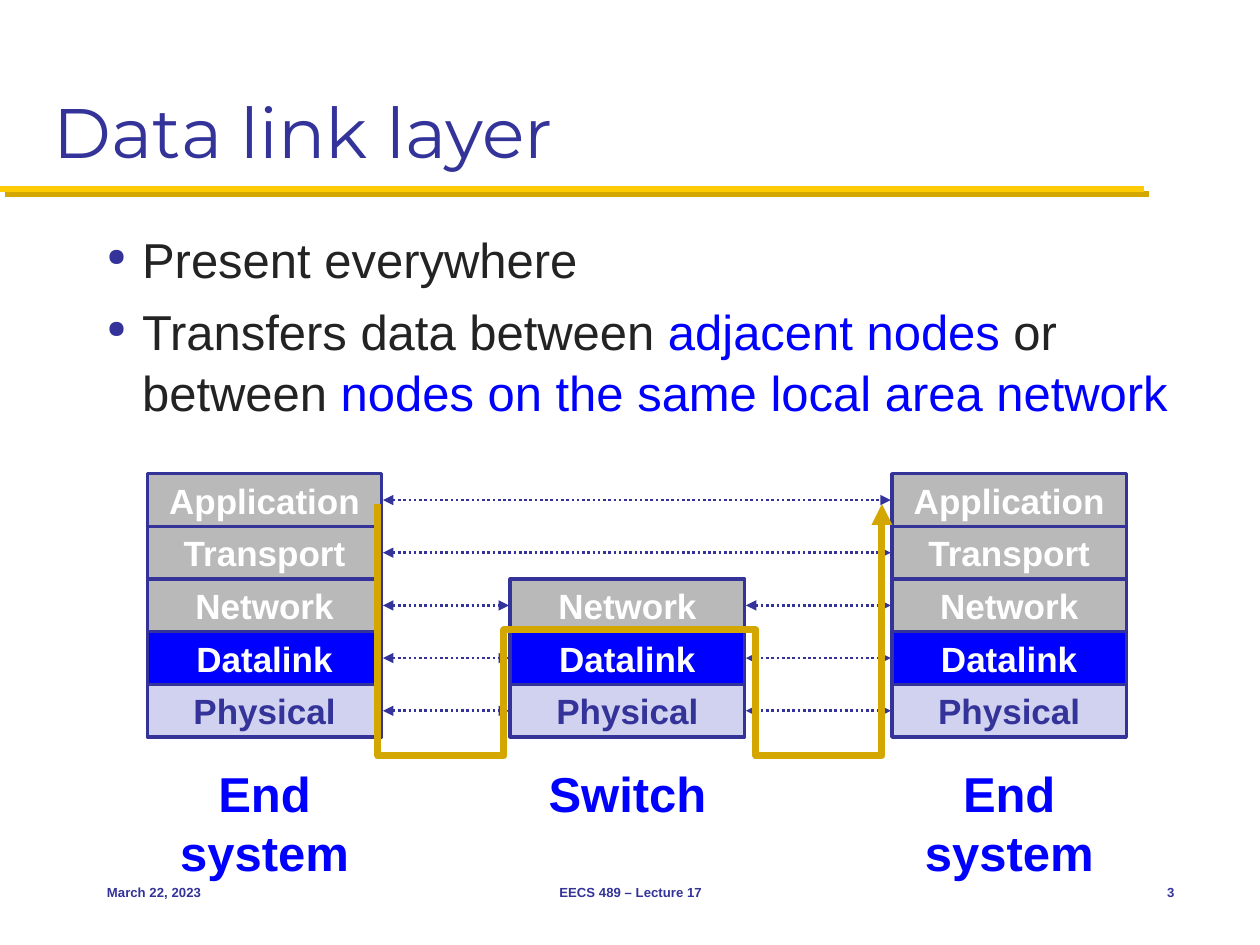
from lxml.etree import SubElement
from pptx import Presentation
from pptx.dml.color import RGBColor
from pptx.enum.dml import MSO_LINE
from pptx.enum.shapes import MSO_CONNECTOR, MSO_SHAPE
from pptx.enum.text import MSO_ANCHOR as Anchor, PP_ALIGN as Align
from pptx.oxml.ns import qn
from pptx.util import Inches, Pt

NAVY = RGBColor(0x33, 0x33, 0x99)
BLUE = RGBColor(0x00, 0x00, 0xFF)
INK = RGBColor(0x23, 0x23, 0x23)
WHITE = RGBColor(0xFF, 0xFF, 0xFF)
GREY = RGBColor(0xB9, 0xB9, 0xB9)
LILAC = RGBColor(0xD1, 0xD1, 0xF0)
GOLD = RGBColor(0xFF, 0xCB, 0x05)
DARK_GOLD = RGBColor(0xD3, 0xA6, 0x00)

LAYERS = [("Application", GREY, WHITE), ("Transport", GREY, WHITE),
          ("Network", GREY, WHITE), ("Datalink", BLUE, WHITE),
          ("Physical", LILAC, NAVY)]
STACK_WIDTH = 1.86
LAYER_HEIGHT = 0.418


def style(span, size, color, bold=False, font="Arial"):
    """Set the font of one run."""
    span.font.name, span.font.size, span.font.bold = font, Pt(size), bold
    span.font.color.rgb = color


def add_text(page, box, text, size, color, bold=False, font="Arial",
             align=Align.LEFT, anchor=Anchor.TOP, wrap=False):
    """Add a one-paragraph text box."""
    frame = page.shapes.add_textbox(*map(Inches, box)).text_frame
    frame.word_wrap, frame.vertical_anchor = wrap, anchor
    frame.text = text
    para = frame.paragraphs[0]
    para.alignment = align
    style(para.runs[0], size, color, bold, font)


def add_line(page, start, end, color, width):
    """Add a straight line and return it with its empty effect list."""
    line = page.shapes.add_connector(MSO_CONNECTOR.STRAIGHT,
                                     *map(Inches, (*start, *end)))
    line.line.color.rgb, line.line.width = color, Pt(width)
    effects = SubElement(line._element.spPr, qn("a:effectLst"))
    return line, effects


def add_arrowheads(shape, *ends):
    """Put triangles on the named ends of a line."""
    outline = shape.line._get_or_add_ln()
    for end in ends:
        SubElement(outline, qn(f"a:{end}"), type="triangle")


def add_heading(page, box):
    """Title with the shadowed gold rule below it."""
    left, top, width, height = box
    add_text(page, box, "Data link layer", 40, NAVY, font="Montserrat",
             anchor=Anchor.BOTTOM, wrap=True)
    rule = top + height + 0.08
    effects = add_line(page, (0, rule), (9.08, rule), GOLD, 3.5)[1]
    shadow = SubElement(effects, qn("a:outerShdw"), blurRad="0",
                        dist=str(Pt(4.2)), dir=str(45 * 60000), algn="ctr")
    SubElement(shadow, qn("a:srgbClr"), val=str(DARK_GOLD))


def add_bullets(page, box, items):
    """Bulleted list; each item is a list of (text, color) spans."""
    frame = page.shapes.add_textbox(*map(Inches, box)).text_frame
    frame.word_wrap = True
    for index, item in enumerate(items):
        para = frame.add_paragraph() if index else frame.paragraphs[0]
        para.line_spacing, para.space_before = 1.05, Pt(5.6)
        props = para._p.get_or_add_pPr()
        props.set("marL", str(Inches(0.28)))
        props.set("indent", str(-Inches(0.28)))
        SubElement(SubElement(props, qn("a:buClr")), qn("a:srgbClr"),
                   val=str(NAVY))
        SubElement(props, qn("a:buSzPct"), val="50000")
        SubElement(props, qn("a:buChar"), char="●")
        for text, color in item:
            span = para.add_run()
            span.text = text
            style(span, 28, color)


def add_stack(page, left, top, name, first=0):
    """Protocol stack from layer number first down, with its name below."""
    for row, (layer, fill, color) in enumerate(LAYERS[first:], first):
        cell = page.shapes.add_shape(
            MSO_SHAPE.RECTANGLE, Inches(left), Inches(top + row * LAYER_HEIGHT),
            Inches(STACK_WIDTH), Inches(LAYER_HEIGHT))
        cell.shadow.inherit = False
        cell.fill.solid()
        cell.fill.fore_color.rgb = fill
        cell.line.color.rgb, cell.line.width = NAVY, Pt(2)
        frame = cell.text_frame
        frame.margin_top = frame.margin_bottom = 0
        frame.word_wrap, frame.vertical_anchor = False, Anchor.MIDDLE
        frame.text = layer
        frame.paragraphs[0].alignment = Align.CENTER
        style(frame.paragraphs[0].runs[0], 20, color, True)
    below = top + len(LAYERS) * LAYER_HEIGHT + 0.16
    add_text(page, (left, below, STACK_WIDTH, 0.57), name, 28, BLUE, True,
             align=Align.CENTER)


def add_peer_arrows(page, left, right, top, rows):
    """Dotted double arrows between the layers of two stacks."""
    for row in rows:
        middle = top + (row + 0.5) * LAYER_HEIGHT
        arrow = add_line(page, (left, middle), (right, middle), NAVY, 1.5)[0]
        arrow.line.dash_style = MSO_LINE.ROUND_DOT
        add_arrowheads(arrow, "headEnd", "tailEnd")


def add_route(page, left, top, width, height):
    """Path of the data: down, through the switch's datalink layer, and up."""
    half = [(0, 0), (0, height - 0.14), (0.17, height),
            (1.55, height), (1.55, 1.15)]
    points = half + [(width - x, y) for x, y in reversed(half)]
    points = [(left + x, top + y) for x, y in points]
    builder = page.shapes.build_freeform(*points[0], scale=Inches(1))
    builder.add_line_segments(points[1:], close=False)
    route = builder.convert_to_shape()
    route.shadow.inherit = False
    route.fill.background()
    route.line.color.rgb, route.line.width = DARK_GOLD, Pt(4)
    add_arrowheads(route, "tailEnd")


def add_diagram(page, top):
    """Two end systems joined by a switch."""
    sender, switch, receiver = 1.17, 4.05, 7.08
    add_stack(page, sender, top, "End system")
    add_stack(page, switch, top, "Switch", first=2)
    add_stack(page, receiver, top, "End system")
    for start, end, rows in ((sender, receiver, (0, 1)),
                             (sender, switch, (2, 3, 4)),
                             (switch, receiver, (2, 3, 4))):
        add_peer_arrows(page, start + STACK_WIDTH + 0.01, end - 0.01, top, rows)
    add_route(page, 2.92, top + 0.02, 4.23, 1.89)


def add_footer(page, top, height):
    """Date, course and page number."""
    for left, width, text, align in (
            (0.75, 2.08, "March 22, 2023", Align.LEFT),
            (3.42, 3.17, "EECS 489 – Lecture 17", Align.CENTER),
            (8.75, 0.67, "3", Align.RIGHT)):
        add_text(page, (left, top, width, height), text, 7.5, NAVY, True,
                 align=align, anchor=Anchor.MIDDLE, wrap=True)


deck = Presentation()
deck.slide_width, deck.slide_height = Inches(10), Inches(7.5)
page = deck.slides.add_slide(deck.slide_layouts[6])
add_heading(page, (0.33, 0.17, 9.33, 1.25))
add_bullets(page, (0.75, 1.75, 8.67, 4.83), [
    [("Present everywhere", INK)],
    [("Transfers data between ", INK), ("adjacent nodes", BLUE),
     (" or between ", INK), ("nodes on the same local area network", BLUE)]])
add_diagram(page, 3.76)
add_footer(page, 6.83, 0.5)
deck.save("out.pptx")
